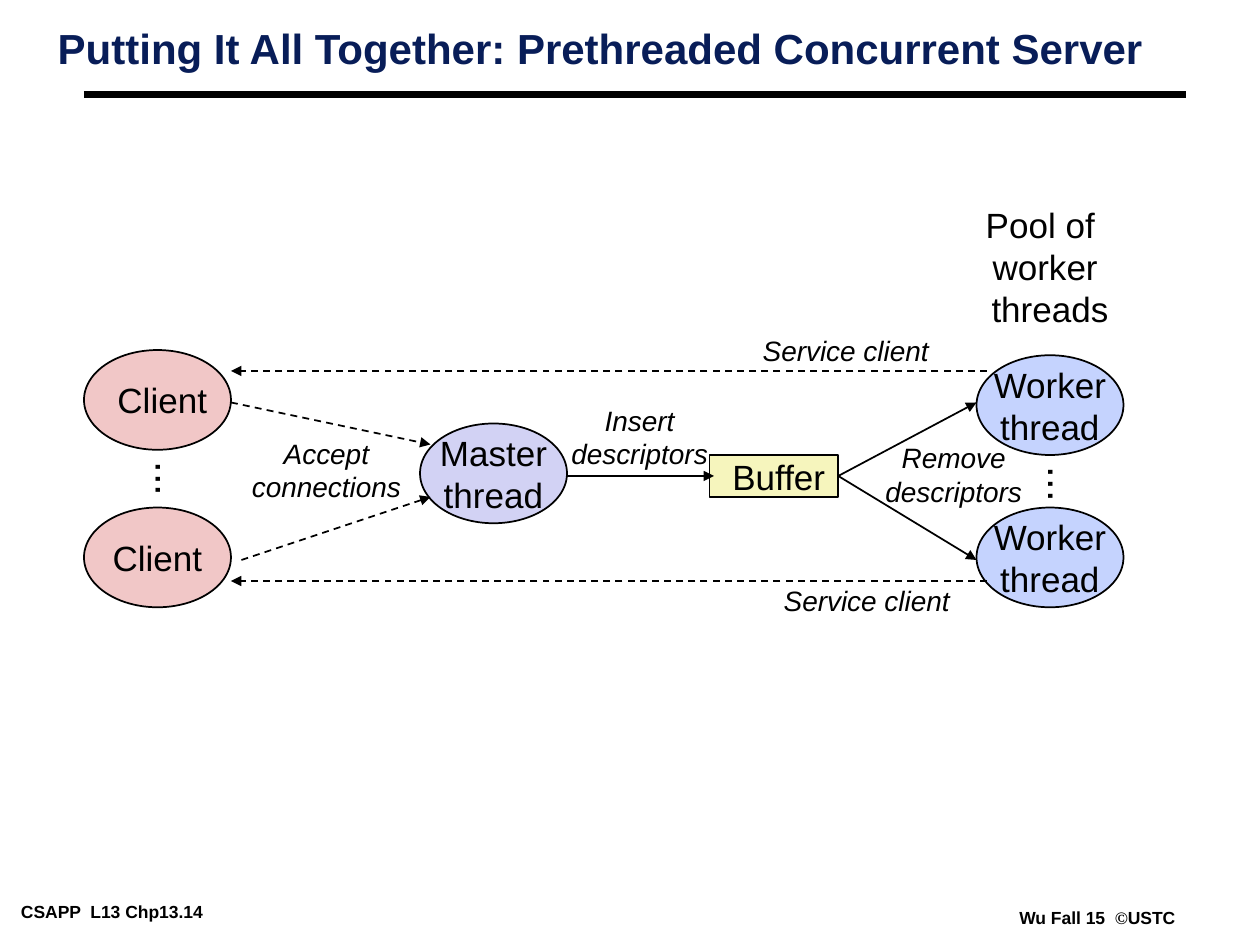
from lxml import etree
from pptx import Presentation
from pptx.dml.color import RGBColor
from pptx.enum import dml, shapes, text
from pptx.oxml.ns import qn
from pptx.util import Pt

COLORS = {"title": "081D58", "ink": "000000", "client": "F1C7C7",
          "master": "D2D2F4", "worker": "C5D3FE", "buffer": "F6F5BD"}
TITLE = "Putting It All Together: Prethreaded Concurrent Server"
NODE_W, NODE_H = 84, 57
CLIENT_X, MASTER_X, WORKER_X = 48, 240, 558
CLIENT_RIGHT, MASTER_RIGHT = CLIENT_X + NODE_W, MASTER_X + NODE_W
FLOW_Y = 272
BUFFER = (405.5, 260, 73.5, 24)

NODES = [
    (" Client", "client", CLIENT_X, 200),
    ("Client", "client", CLIENT_X, 290),
    ("Master\nthread", "master", MASTER_X, 242),
    ("Worker\nthread", "worker", WORKER_X, 203),
    ("Worker\nthread", "worker", WORKER_X, 290),
]
ARROWS = [
    ((CLIENT_RIGHT, 230), (246, 254), True),
    ((138, 320), (246, 284), True),
    ((564, 212), (CLIENT_RIGHT, 212), True),
    ((564, 332), (CLIENT_RIGHT, 332), True),
    ((MASTER_RIGHT, FLOW_Y), (408, FLOW_Y), False),
]
BUFFER_EXITS = [(WORKER_X, 230), (WORKER_X, 320)]
LABELS = [
    ("Accept\nconnections", (137, 245.5, 99, 46)),
    ("Insert\ndescriptors", (319.5, 226.5, 92, 46)),
    ("Remove\ndescriptors", (499, 248, 92, 46)),
    ("Service client", (428.5, 187, 109.5, 26.5)),
    ("Service client", (440.5, 329.5, 109.5, 26.5)),
]
POOL = ("Pool of \nworker\n threads", (554, 113, 86.5, 79))
DOTS = [(77, 256.5, 43, 27.5), (587, 259.5, 43, 27.5)]
FOOTERS = [
    (["CSAPP  L13 Chp13.14"], (7, 513, 151, 16)),
    (["Wu Fall 15  ", "©", "USTC"], (577.5, 516.5, 99.5, 16)),
]


def rgb(name):
    return RGBColor.from_string(COLORS[name])


def set_font(r, size, color="ink", bold=False, italic=False, name="Arial"):
    r.font.size, r.font.name = Pt(size), name
    r.font.bold, r.font.italic = bold, italic
    r.font.color.rgb = rgb(color)


def set_frame(tf, inset_x, inset_y, anchor=text.MSO_ANCHOR.MIDDLE, wrap=False):
    tf.margin_left = tf.margin_right = Pt(inset_x)
    tf.margin_top = tf.margin_bottom = Pt(inset_y)
    tf.vertical_anchor, tf.word_wrap = anchor, wrap


def write_centered(tf, words, size, italic=False):
    tf.text = words
    for p in tf.paragraphs:
        p.alignment = text.PP_ALIGN.CENTER
        for r in p.runs:
            set_font(r, size, italic=italic)


def add_node(s, kind, words, color, box):
    sp = s.shapes.add_shape(kind, *map(Pt, box))
    sp.shadow.inherit = False
    sp.fill.solid()
    sp.fill.fore_color.rgb = rgb(color)
    sp.line.color.rgb = rgb("ink")
    sp.line.width = Pt(1)
    set_frame(sp.text_frame, 7.2, 0)
    write_centered(sp.text_frame, words, 20)
    return sp


def add_text(s, box, inset_x, inset_y, anchor=text.MSO_ANCHOR.MIDDLE):
    tf = s.shapes.add_textbox(*map(Pt, box)).text_frame
    set_frame(tf, inset_x, inset_y, anchor)
    tf.auto_size = text.MSO_AUTO_SIZE.SHAPE_TO_FIT_TEXT
    return tf


def add_label(s, words, box, size, italic=False):
    write_centered(add_text(s, box, 2, 3.6), words, size, italic)


def add_line(s, start, end, width=1, dashed=False, arrow=True):
    cx = s.shapes.add_connector(shapes.MSO_CONNECTOR.STRAIGHT, *map(Pt, start + end))
    cx.line.color.rgb = rgb("ink")
    cx.line.width = Pt(width)
    if dashed:
        cx.line.dash_style = dml.MSO_LINE.DASH
    if arrow:
        etree.SubElement(cx.line._get_or_add_ln(), qn("a:tailEnd"), type="triangle")
    etree.SubElement(cx._element.spPr, qn("a:effectLst"))
    return cx


def main():
    prs = Presentation()
    prs.slide_width, prs.slide_height = Pt(720), Pt(540)
    s = prs.slides.add_slide(prs.slide_layouts[5])

    title = s.shapes.title
    title.left, title.top, title.width, title.height = map(Pt, (28, 15, 674, 86))
    tf = title.text_frame
    set_frame(tf, 5, 2, text.MSO_ANCHOR.TOP, True)
    tf.text = TITLE
    p = tf.paragraphs[0]
    p.alignment, p.line_spacing = text.PP_ALIGN.LEFT, 0.87
    set_font(p.runs[0], 24, "title", bold=True)
    add_line(s, (48, 54), (678, 54), width=4.5, arrow=False)

    for words, color, x, y in NODES:
        add_node(s, shapes.MSO_SHAPE.OVAL, words, color, (x, y, NODE_W, NODE_H))
    buffer = add_node(s, shapes.MSO_SHAPE.RECTANGLE, " Buffer", "buffer", BUFFER)

    for start, end, dashed in ARROWS:
        add_line(s, start, end, dashed=dashed)
    for end in BUFFER_EXITS:
        add_line(s, (BUFFER[0] + BUFFER[2], FLOW_Y), end).begin_connect(buffer, 3)

    for words, box in LABELS:
        add_label(s, words, box, 16, italic=True)
    add_label(s, *POOL, 20)

    for box in DOTS:
        tf = add_text(s, box, 3.6, 7.2)
        tf._txBody.bodyPr.set("vert", "eaVert")
        write_centered(tf, "...", 24)

    for parts, box in FOOTERS:
        p = add_text(s, box, 5, 2, text.MSO_ANCHOR.TOP).paragraphs[0]
        for part in parts:
            r = p.add_run()
            r.text = part
            set_font(r, 10, bold=True, name="Times New Roman" if part == "©" else "Arial")

    prs.save("out.pptx")


if __name__ == "__main__":
    main()
